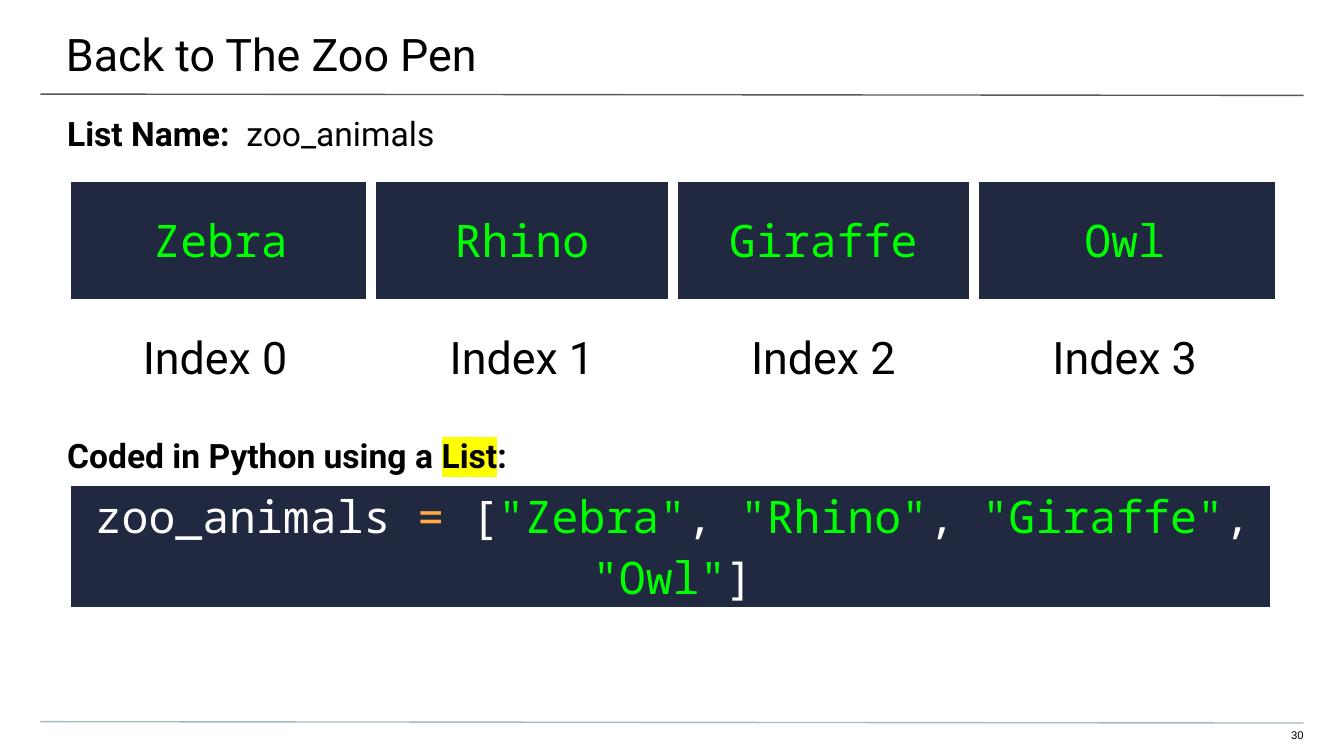
from dataclasses import dataclass

from lxml.etree import SubElement
from pptx import Presentation
from pptx.dml.color import RGBColor
from pptx.enum.text import MSO_ANCHOR as Anchor, MSO_AUTO_SIZE as AutoSize, PP_ALIGN as Align
from pptx.oxml.ns import qn
from pptx.util import Inches, Pt

SANS, MONO = "Roboto", "Noto Sans Mono"
BLACK, WHITE, NAVY = "000000", "FFFFFF", "212940"
GREEN, ORANGE, YELLOW = "00FF00", "FFAB40", "FFFF00"
ANIMALS = ["Zebra", "Rhino", "Giraffe", "Owl"]
THIN, THICK = 0.75, 6
SLIDE_WIDTH = 10
SLIDE_HEIGHT = SLIDE_WIDTH * 9 / 16
TABLE_LEFT, TABLE_WIDTH, ROW_HEIGHT = 0.52, 8.97, 0.88


@dataclass
class Run:
    text: str
    size: float = 24
    color: str = BLACK
    font: str = SANS
    bold: bool = False
    highlight: str = ""


@dataclass
class Rule:
    y: float
    color: str


def rgb(color: str) -> RGBColor:
    return RGBColor.from_string(color)


def add_runs(p, runs: list[Run], align=Align.LEFT) -> None:
    p.alignment = align
    for run in runs:
        r = p.add_run()
        r.text = run.text
        r.font.size = Pt(run.size)
        r.font.bold = run.bold
        r.font.name = run.font
        r.font.color.rgb = rgb(run.color)
        if run.highlight:
            rPr = r.font._element
            mark = SubElement(rPr, qn("a:highlight"))
            SubElement(mark, qn("a:srgbClr"), val=run.highlight)
            rPr.find(qn("a:solidFill")).addnext(mark)


def set_frame(tf, left: float, top: float, right: float, bottom: float) -> None:
    """Set the margins of a wrapping, top-anchored text frame."""
    tf.word_wrap = True
    tf.auto_size = AutoSize.NONE
    tf.vertical_anchor = Anchor.TOP
    tf.margin_left, tf.margin_top = Inches(left), Inches(top)
    tf.margin_right, tf.margin_bottom = Inches(right), Inches(bottom)


def add_rule(slide, rule: Rule) -> None:
    line = slide.shapes.add_connector(
        1, Inches(0.3), Inches(rule.y), Inches(9.7), Inches(rule.y + 0.01))
    line.line.color.rgb = rgb(rule.color)
    line.line.width = Pt(0.75)
    SubElement(line._element.spPr, qn("a:effectLst"))


def set_borders(cell, left: float, right: float) -> None:
    """Draw white borders, with side widths in points."""
    tcPr = cell._tc.get_or_add_tcPr()
    for side, width in zip("LRTB", (left, right, THIN, THIN)):
        ln = SubElement(tcPr, qn(f"a:ln{side}"), w=str(Pt(width)))
        fill = SubElement(ln, qn("a:solidFill"))
        SubElement(fill, qn("a:srgbClr"), val=WHITE)


def fill_cell(cell, runs: list[Run], fill: str = "",
              left: float = THIN, right: float = THIN) -> None:
    cell.vertical_anchor = Anchor.MIDDLE
    cell.margin_left = cell.margin_right = Inches(0.1)
    cell.margin_top = cell.margin_bottom = 0
    add_runs(cell.text_frame.paragraphs[0], runs, Align.CENTER)
    if fill:
        set_borders(cell, left, right)
        cell.fill.solid()
        cell.fill.fore_color.rgb = rgb(fill)
    else:
        cell.fill.background()


def add_grid(slide, rows: int, cols: int, top: float):
    table = slide.shapes.add_table(
        rows, cols, Inches(TABLE_LEFT), Inches(top),
        Inches(TABLE_WIDTH), Inches(rows * ROW_HEIGHT)).table
    table.first_row = table.horz_banding = False
    return table


def code_runs() -> list[Run]:
    """Colour the Python line that builds the list."""
    parts = [("zoo_animals ", WHITE), ("=", ORANGE), (" [", WHITE)]
    for i, animal in enumerate(ANIMALS):
        if i:
            parts.append((", ", WHITE))
        parts.append((f'"{animal}"', GREEN))
    parts.append(("]", WHITE))
    return [Run(text, color=color, font=MONO) for text, color in parts]


def main() -> None:
    prs = Presentation()
    prs.slide_width, prs.slide_height = Inches(SLIDE_WIDTH), Inches(SLIDE_HEIGHT)
    slide = prs.slides.add_slide(prs.slide_layouts[5])

    for rule in (Rule(0.7, "595959"), Rule(5.37, "A9B7C0")):
        add_rule(slide, rule)

    title = slide.shapes.title
    title.left, title.top = Inches(-0.01), 0
    title.width, title.height = Inches(10.03), Inches(0.58)
    set_frame(title.text_frame, 0.5, 0.2, 0.3, 0.1)
    add_runs(title.text_frame.paragraphs[0], [Run("Back to The Zoo Pen")])

    headings = slide.shapes.add_textbox(0, Inches(0.74), Inches(SLIDE_WIDTH), Inches(3.24))
    tf = headings.text_frame
    set_frame(tf, 0.5, 0.1, 0.5, 0)
    add_runs(tf.paragraphs[0], [Run("List Name:", 18, bold=True),
                                Run("  zoo_animals", 18)])
    p = tf.add_paragraph()
    p.space_before = Pt(151)
    add_runs(p, [Run("Coded in Python using a ", 18, bold=True),
                 Run("List", 18, bold=True, highlight=YELLOW),
                 Run(":", 18, bold=True)])

    number = slide.shapes.add_textbox(
        Inches(9.41), Inches(5.42), Inches(0.29), Inches(0.12))
    set_frame(number.text_frame, 0, 0, 0, 0.1)
    add_runs(number.text_frame.paragraphs[0], [Run("30", 6, font="Arial")], Align.RIGHT)

    pen = add_grid(slide, 2, len(ANIMALS), 1.35)
    last = len(ANIMALS) - 1
    for i, animal in enumerate(ANIMALS):
        fill_cell(pen.cell(0, i), [Run(animal, color=GREEN, font=MONO)], NAVY,
                  left=THICK if i else THIN, right=THICK if i < last else THIN)
        fill_cell(pen.cell(1, i), [Run(f"Index {i}" if i else "Index 0 ")])

    code = add_grid(slide, 1, 1, 3.61)
    fill_cell(code.cell(0, 0), code_runs(), NAVY, right=THICK)

    prs.save("out.pptx")


if __name__ == "__main__":
    main()
